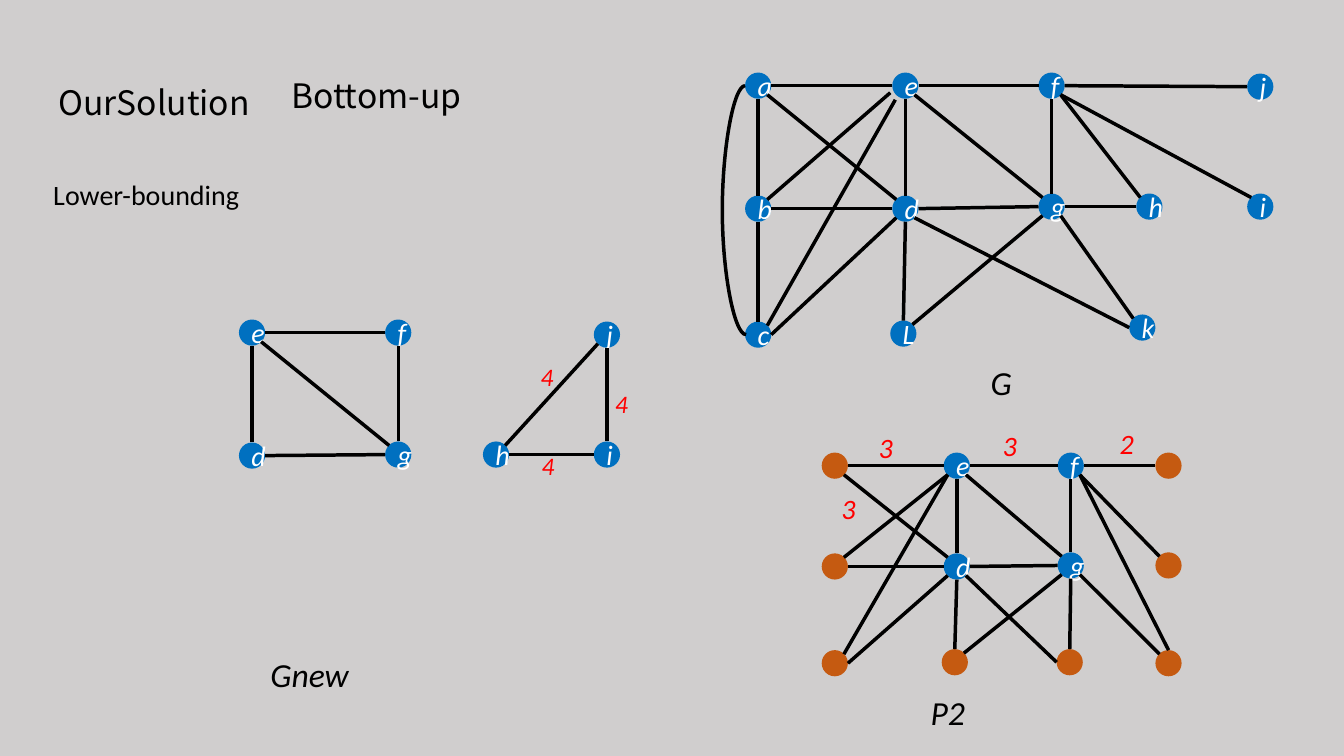
from dataclasses import dataclass

from lxml import etree
from pptx import Presentation
from pptx import util as u
from pptx.dml.color import RGBColor
from pptx.enum import shapes, text
from pptx.oxml import ns


@dataclass(frozen=True)
class Theme:
    background: str = "D0CECE"
    ink: str = "000000"
    vertex: str = "0070C0"
    outer_vertex: str = "C55A11"
    label: str = "FFFFFF"
    weight: str = "FF0000"
    body_font: str = "Calibri"
    title_font: str = "Noto Sans CJK SC"
    large: int = 24
    medium: int = 20
    small: int = 18
    stroke: float = 2.5


THEME = Theme()
DIAMETER = 0.26
NEAR, MIDDLE, FAR = 0.04, DIAMETER / 2, 0.22
SITES = {
    "n": (MIDDLE, 0), "ne": (FAR, NEAR), "e": (DIAMETER, MIDDLE), "se": (FAR, FAR),
    "s": (MIDDLE, DIAMETER), "sw": (NEAR, FAR), "w": (0, MIDDLE), "nw": (NEAR, NEAR),
}

G_VERTICES = {
    "a": (0, 0), "b": (0, 1.22), "c": (0, 2.47), "d": (1.46, 1.22), "e": (1.46, 0),
    "L": (1.44, 2.46), "f": (2.91, 0), "g": (2.91, 1.2), "j": (4.98, 0.01),
    "h": (3.88, 1.2), "i": (4.98, 1.2), "k": (3.81, 2.4),
}
G_EDGES = (
    "c.n-b.s b.n-a.s e.w-a.e d.w-b.e d.sw-c.e d.n-e.s d.nw-a.se g.w-d.e f.w-e.e "
    "g.nw-e.se g.n-f.s L.n-d.s L.ne-g.sw h.nw-f.se h.w-g.e j.w-f.e i.nw-f.se "
    "k.nw-g.se k.w-d.se"
)
G_LOOSE_EDGES = [((1.44, 0.2), "b.ne"), ((1.49, 0.27), "c.ne")]

SQUARE_VERTICES = {"d": (0, 1.22), "e": (0, 0), "f": (1.45, 0), "g": (1.45, 1.21)}
SQUARE_EDGES = "d.n-e.s g.w-d.e f.w-e.e g.nw-e.se g.n-f.s"
TRIANGLE_VERTICES = {"j": (1.1, 0), "h": (0, 1.19), "i": (1.1, 1.19)}
TRIANGLE_EDGES = "i.w-h.e i.n-j.s j.sw-h.ne"
TRIANGLE_WEIGHTS = [("4", 1.14, 0.61), ("4", 0.4, 0.35), ("4", 0.41, 1.23)]

P2_VERTICES = {
    "left1": (0, 0), "left2": (0, 1), "left3": (0, 1.96),
    "d": (1.21, 1), "e": (1.21, 0), "f": (2.34, 0), "g": (2.34, 0.99),
    "low1": (1.19, 1.95), "low2": (2.33, 1.95),
    "right1": (3.31, 0), "right2": (3.31, 0.99), "right3": (3.31, 1.96),
}
P2_EDGES = (
    "e.w-left1.e d.w-left2.e d.sw-left3.e d.n-e.s d.nw-left1.se e.sw-left2.ne "
    "e.sw-left3.ne g.w-d.e f.w-e.e g.nw-e.se g.n-f.s low1.n-d.s low1.ne-g.sw "
    "right2.nw-f.se low2.n-g.s low2.w-d.se right1.w-f.e right3.nw-g.se right3.n-f.se"
)
P2_WEIGHTS = [("3", 0.4, -0.27), ("3", 0.03, 0.34), ("2", 2.79, -0.31), ("3", 1.63, -0.29)]


def apply_format(target, values):
    for name, value in values.items():
        setattr(target, name, value)


def write_text(shape, words, size, color, font=THEME.body_font, italic=True,
               align=text.PP_ALIGN.CENTER, spacing=None):
    paragraph = shape.text_frame.paragraphs[0]
    apply_format(paragraph, {"alignment": align, "line_spacing": spacing})
    run = paragraph.add_run()
    run.text = words
    apply_format(run.font, {"name": font, "size": u.Pt(size), "italic": italic})
    run.font.color.rgb = RGBColor.from_string(color)


def add_label(container, box, words, size, color, wrap=True, **style):
    shape = container.add_textbox(*map(u.Inches, box))
    apply_format(shape.text_frame, {
        "word_wrap": wrap, "auto_size": text.MSO_AUTO_SIZE.SHAPE_TO_FIT_TEXT,
    })
    write_text(shape, words, size, color, **style)


def add_line(container, kind, start, end):
    connector = container.add_connector(kind, *map(u.Inches, (*start, *end)))
    connector.line.width = u.Pt(THEME.stroke)
    connector.line.color.rgb = RGBColor.from_string(THEME.ink)
    etree.SubElement(connector._element.spPr, ns.qn("a:effectLst"))
    return connector


def add_vertex(container, left, top, name):
    labelled = len(name) == 1
    shape = container.add_shape(
        shapes.MSO_SHAPE.OVAL, *map(u.Inches, (left, top, DIAMETER, DIAMETER)))
    shape.shadow.inherit = False
    shape.fill.solid()
    shape.fill.fore_color.rgb = RGBColor.from_string(
        THEME.vertex if labelled else THEME.outer_vertex)
    shape.line.fill.background()
    if labelled:
        write_text(shape, name, THEME.medium, THEME.label)


def add_graph(container, origin, vertices, edges, loose_edges=()):
    left, top = origin

    def locate(end):
        if isinstance(end, tuple):
            return left + end[0], top + end[1]
        name, site = end.split(".")
        return tuple(sum(parts) for parts in zip(origin, vertices[name], SITES[site]))

    for name, (x, y) in vertices.items():
        add_vertex(container, left + x, top + y, name)
    for start, end in [edge.split("-") for edge in edges.split()] + list(loose_edges):
        add_line(container, shapes.MSO_CONNECTOR.STRAIGHT, locate(start), locate(end))


def add_weights(container, origin, weights, size, height):
    left, top = origin
    for words, x, y in weights:
        add_label(container, (left + x, top + y, 0.47, height), words, size, THEME.weight)


def add_caption(container, left, top, words):
    add_label(container, (left, top, 1, 0.5), words, THEME.large, THEME.ink)


def add_headings(container, left, top):
    common = {"color": THEME.ink, "wrap": False, "italic": False,
              "align": text.PP_ALIGN.LEFT}
    add_label(container, (left + 0.05, top, 2.15, 0.64), "OurSolution", THEME.large,
              font=THEME.title_font, spacing=1.5, **common)
    add_label(container, (left + 2.36, top + 0.13, 1.97, 0.5), "Bottom-up", THEME.large,
              font=THEME.title_font, **common)
    add_label(container, (left, top + 1.15, 2.07, 0.44), "Lower-bounding", THEME.medium,
              **common)


def add_bow(container, left, top, height, width=0.01, bulge=0.24):
    connector = add_line(container, shapes.MSO_CONNECTOR.CURVE,
                         (left, top), (left + width, top + height))
    properties = connector._element.spPr
    properties.find(ns.qn("a:xfrm")).set("rot", "10800000")
    geometry = properties.find(ns.qn("a:prstGeom"))
    etree.SubElement(geometry.find(ns.qn("a:avLst")), ns.qn("a:gd"),
                     name="adj1", fmla=f"val {round(bulge / width * 100000)}")


def add_full_graph(container, left, top):
    add_graph(container, (left, top), G_VERTICES, G_EDGES, G_LOOSE_EDGES)
    add_bow(container, left, top + MIDDLE, 2.47)
    add_caption(container, left + 2.04, top + 2.82, "G")


def add_new_graph(container, left, top):
    square = container.add_group_shape().shapes
    add_graph(square, (left, top), SQUARE_VERTICES, SQUARE_EDGES)
    triangle = container.add_group_shape().shapes
    origin = (left + 2.42, top + 0.02)
    add_graph(triangle, origin, TRIANGLE_VERTICES, TRIANGLE_EDGES)
    add_weights(triangle, origin, TRIANGLE_WEIGHTS, THEME.small, 0.4)
    add_caption(container, left + 0.2, top + 3.27, "Gnew")


def add_partition(container, left, top):
    add_graph(container, (left, top), P2_VERTICES, P2_EDGES)
    add_caption(container, left + 0.75, top + 2.33, "P2")
    weights = container.add_group_shape().shapes
    add_weights(weights, (left, top), P2_WEIGHTS, THEME.medium, 0.44)


def main():
    presentation = Presentation()
    apply_format(presentation, {
        "slide_width": u.Inches(13.33), "slide_height": u.Inches(7.5),
    })
    slide = presentation.slides.add_slide(presentation.slide_layouts[6])
    slide.background.fill.solid()
    slide.background.fill.fore_color.rgb = RGBColor.from_string(THEME.background)
    add_headings(slide.shapes, 0.43, 0.56)
    add_full_graph(slide.shapes, 7.39, 0.72)
    add_new_graph(slide.shapes, 2.37, 3.17)
    add_partition(slide.shapes, 8.15, 4.49)
    presentation.save("out.pptx")


if __name__ == "__main__":
    main()
